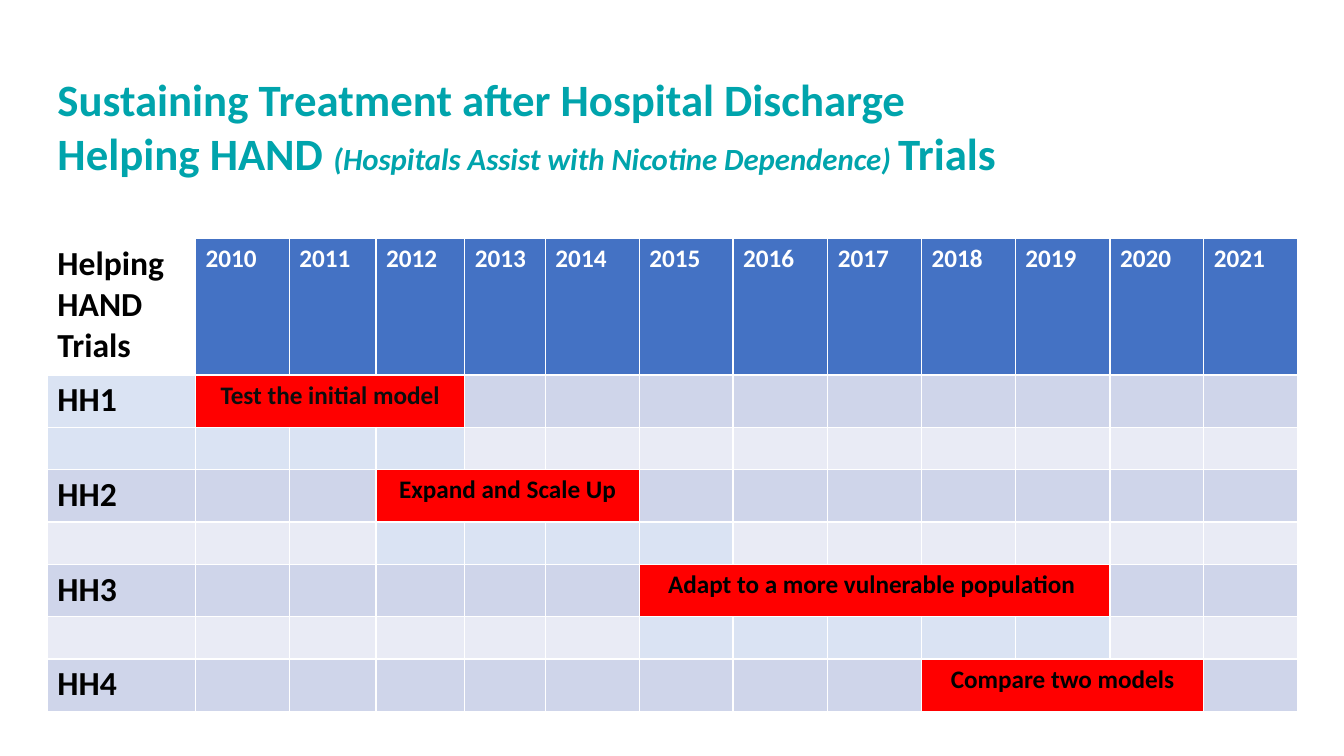
from dataclasses import dataclass

from pptx import Presentation
from pptx.dml.color import RGBColor
from pptx.enum.text import MSO_ANCHOR, PP_ALIGN
from pptx.util import Inches, Pt

FONT = "Calibri"
TEAL = RGBColor(0x00, 0xA4, 0xAC)
WHITE = RGBColor(0xFF, 0xFF, 0xFF)
BLACK = RGBColor(0x00, 0x00, 0x00)
COAL = RGBColor(0x0D, 0x0D, 0x0D)
BLUE = RGBColor(0x44, 0x72, 0xC4)
RED = RGBColor(0xFF, 0x00, 0x00)
BAND = RGBColor(0xCF, 0xD5, 0xEA)
LIGHT = RGBColor(0xE9, 0xEB, 0xF5)
PALE = RGBColor(0xDA, 0xE3, 0xF3)

LEFT = 0.47
YEARS = range(2010, 2022)
WIDTHS = [1.47, 0.93, 0.86, 0.88, 0.8, 0.93, 0.93, 0.94, 0.93, 0.93, 0.94, 0.93, 0.93]
HEAD_ROW, TRIAL_ROW, GAP_ROW = 1.35, 0.52, 0.42


@dataclass
class Trial:
    name: str
    aim: str
    start: int
    end: int
    pale: range = range(0)  # tinted columns of the gap row below
    fill: RGBColor = BAND
    ink: RGBColor = BLACK


TRIALS = [
    Trial("HH1", "Test the initial model", 2010, 2012, range(0, 4), PALE, COAL),
    Trial("HH2", "Expand and Scale Up", 2012, 2014, range(3, 7)),
    Trial("HH3", "Adapt to a more vulnerable population ", 2015, 2019, range(6, 11)),
    Trial("HH4", "Compare two models", 2018, 2020),
]


def paint(cell, color: RGBColor) -> None:
    cell.fill.solid()
    cell.fill.fore_color.rgb = color


def style(para, size: float, color: RGBColor, align=PP_ALIGN.LEFT) -> None:
    para.alignment = align
    font = para.font
    font.name, font.size, font.bold = FONT, Pt(size), True
    font.color.rgb = color


def write(cell, text: str, size: float, color: RGBColor, align=PP_ALIGN.LEFT) -> None:
    cell.text = text
    for para in cell.text_frame.paragraphs:
        style(para, size, color, align)


def add_title(slide) -> None:
    title = slide.shapes.title
    title.left, title.top = Inches(LEFT), Inches(0.66)
    title.width, title.height = Inches(10.06), Inches(1.72)
    frame = title.text_frame
    frame.word_wrap = True
    frame.vertical_anchor = MSO_ANCHOR.TOP
    frame.text = "Sustaining Treatment after Hospital Discharge"
    line = frame.add_paragraph()
    line.add_run().text = "Helping HAND "
    note = line.add_run()
    note.text = "(Hospitals Assist with Nicotine Dependence) "
    note.font.size, note.font.italic = Pt(22), True
    line.add_run().text = "Trials"
    for para in frame.paragraphs:
        style(para, 32, TEAL)


def add_trial(table, row: int, trial: Trial) -> None:
    for cell in table.rows[row].cells:
        paint(cell, BAND)
    label = table.cell(row, 0)
    paint(label, trial.fill)
    write(label, trial.name, 24, BLACK)
    first, last = (year - YEARS[0] + 1 for year in (trial.start, trial.end))
    bar = table.cell(row, first)
    bar.merge(table.cell(row, last))
    paint(bar, RED)
    write(bar, trial.aim, 18, trial.ink, PP_ALIGN.CENTER)


def add_chart(slide) -> None:
    heights = [HEAD_ROW] + [TRIAL_ROW, GAP_ROW] * len(TRIALS)
    heights.pop()
    table = slide.shapes.add_table(
        len(heights), len(WIDTHS), Inches(LEFT), Inches(2.37),
        Inches(sum(WIDTHS)), Inches(sum(heights))).table
    table.horz_banding = False
    for column, width in zip(table.columns, WIDTHS):
        column.width = Inches(width)
    for row, height in zip(table.rows, heights):
        row.height = Inches(height)

    corner = table.cell(0, 0)
    paint(corner, WHITE)
    write(corner, "Helping\nHAND\nTrials", 24, BLACK)
    for col, year in enumerate(YEARS, 1):
        paint(table.cell(0, col), BLUE)
        write(table.cell(0, col), str(year), 18, WHITE)

    for index, trial in enumerate(TRIALS):
        row = 2 * index + 1
        add_trial(table, row, trial)
        if trial is not TRIALS[-1]:
            for col, cell in enumerate(table.rows[row + 1].cells):
                paint(cell, PALE if col in trial.pale else LIGHT)


def main() -> None:
    deck = Presentation()
    deck.slide_width, deck.slide_height = Inches(13.33), Inches(7.5)
    slide = deck.slides.add_slide(deck.slide_layouts[5])
    add_title(slide)
    add_chart(slide)
    deck.save("out.pptx")


if __name__ == "__main__":
    main()
